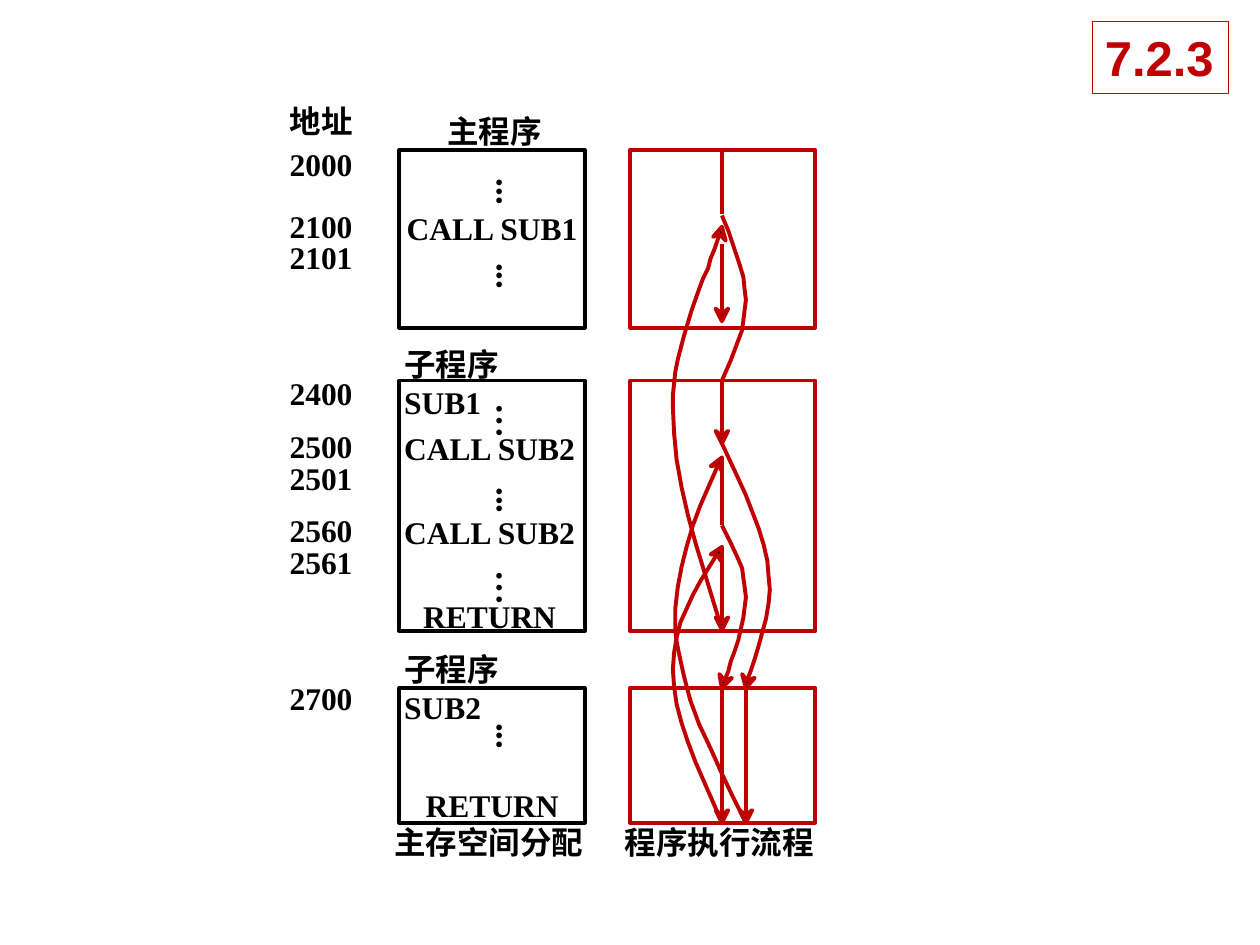
from lxml.etree import SubElement
from pptx import Presentation
from pptx.dml.color import RGBColor
from pptx.enum.shapes import MSO_CONNECTOR as Connector, MSO_SHAPE as Shape
from pptx.enum.text import MSO_ANCHOR as Anchor
from pptx.oxml.ns import qn
from pptx.util import Inches, Pt

BLACK, RED, WHITE = "000000", "C00000", "FFFFFF"
MEMORY_X, FLOW_X, BLOCK_W = 3.17, 5, 1.47
FLOW_MID, SECOND_CALL_X = 5.73, 5.92
BLOCKS = [(1.19, 1.41), (3.02, 1.99), (5.46, 1.07)]

ADDRESSES = [("地址", 0.76), ("2000", 1.1), ("2100", 1.59), ("2101", 1.84),
             ("2400", 2.92), ("2500", 3.34), ("2501", 3.59), ("2560", 4.01),
             ("2561", 4.26), ("2700", 5.34)]
LABELS = [("主程序", 3.45, 0.84, 0.96), ("CALL SUB1", 3.13, 1.61, 1.57),
          ("CALL SUB2", 3.11, 3.36, 1.57), ("CALL SUB2", 3.11, 4.02, 1.57),
          ("RETURN", 3.26, 4.69, 1.26), ("RETURN", 3.28, 6.19, 1.26),
          ("主存空间分配", 3.03, 6.48, 1.71), ("程序执行流程", 4.86, 6.48, 1.71)]
SUBROUTINES = [("子程序SUB1", 2.69), ("子程序SUB2", 5.11)]
ELLIPSES = [("...", 1.32, 0.31), ("...", 1.99, 0.31), ("…", 3.1, 0.38),
            ("...", 3.77, 0.31), ("…", 4.43, 0.38), ("...", 5.64, 0.31)]

# Straight runs: x, top, bottom of the line, tip of the arrowhead if any
RUNS = [(FLOW_MID, 1.19, 1.7, None), (FLOW_MID, 1.94, 2.49, 2.55),
        (FLOW_MID, 3.02, 3.47, 3.52), (FLOW_MID, 3.63, 4.17, None),
        (FLOW_MID, 4.34, 4.93, 5), (FLOW_MID, 5.46, 6.47, 6.53),
        (SECOND_CALL_X, 5.46, 6.47, 6.53)]

# Jumps between programs: curve points, then arrowhead points
JUMPS = [
    ([(5.73, 4.17), (5.8, 4.31), (5.86, 4.44), (5.89, 4.51), (5.9, 4.59),
      (5.91, 4.66), (5.92, 4.74), (5.91, 4.82), (5.9, 4.9), (5.88, 4.99),
      (5.86, 5.08), (5.83, 5.17), (5.8, 5.25), (5.78, 5.33), (5.75, 5.4)],
     [(5.71, 5.35), (5.73, 5.46), (5.81, 5.38), (5.75, 5.4)]),
    ([(5.73, 3.52), (5.86, 3.8), (5.92, 3.93), (5.97, 4.06), (6.02, 4.19),
      (6.06, 4.32), (6.09, 4.45), (6.1, 4.57), (6.11, 4.68), (6.1, 4.79),
      (6.08, 4.91), (6.05, 5.02), (6.02, 5.13), (5.99, 5.23), (5.96, 5.32),
      (5.93, 5.4)],
     [(5.89, 5.35), (5.92, 5.46), (5.99, 5.38), (5.93, 5.4)]),
    ([(5.92, 6.53), (5.82, 6.33), (5.73, 6.14), (5.64, 5.94), (5.55, 5.75),
      (5.48, 5.56), (5.43, 5.37), (5.39, 5.19), (5.37, 5.09), (5.36, 5),
      (5.36, 4.83), (5.38, 4.66), (5.41, 4.5), (5.45, 4.34), (5.5, 4.17),
      (5.56, 4.01), (5.63, 3.85), (5.7, 3.69)],
     [(5.73, 3.74), (5.73, 3.63), (5.64, 3.7), (5.7, 3.69)]),
    ([(5.73, 6.53), (5.59, 6.21), (5.52, 6.05), (5.46, 5.89), (5.41, 5.74),
      (5.37, 5.59), (5.35, 5.45), (5.34, 5.31), (5.35, 5.18), (5.37, 5.06),
      (5.4, 4.94), (5.45, 4.83), (5.5, 4.72), (5.56, 4.61), (5.69, 4.4)],
     [(5.72, 4.45), (5.73, 4.34), (5.64, 4.4), (5.69, 4.4)]),
    ([(5.73, 5), (5.59, 4.54), (5.52, 4.31), (5.46, 4.09), (5.41, 3.87),
      (5.37, 3.65), (5.35, 3.44), (5.34, 3.23), (5.34, 3.14), (5.35, 3.04),
      (5.36, 2.95), (5.38, 2.85), (5.43, 2.66), (5.49, 2.46), (5.55, 2.29),
      (5.58, 2.21), (5.62, 2.13), (5.64, 2.05), (5.67, 1.98), (5.69, 1.92),
      (5.71, 1.86)],
     [(5.76, 1.91), (5.73, 1.8), (5.66, 1.88), (5.71, 1.86)]),
    ([(5.73, 3.02), (5.8, 2.86), (5.86, 2.7), (5.89, 2.62), (5.9, 2.54),
      (5.91, 2.46), (5.92, 2.38), (5.91, 2.3), (5.9, 2.2), (5.87, 2.1),
      (5.84, 2.01), (5.81, 1.92), (5.78, 1.83), (5.75, 1.76), (5.73, 1.71)],
     None),
]


def rgb(color):
    return RGBColor.from_string(color)


def style(shape, line, fill=None, width=2.25):
    shape.shadow.inherit = False
    shape.line.color.rgb = rgb(line)
    shape.line.width = Pt(width)
    if fill:
        shape.fill.solid()
        shape.fill.fore_color.rgb = rgb(fill)
    else:
        shape.fill.background()


def format_text(frame, text, size, font="Times New Roman", color=BLACK):
    frame.text = text
    for run in frame.paragraphs[0].runs:
        run.font.size = Pt(size)
        run.font.name = font
        run.font.bold = True
        run.font.color.rgb = rgb(color)


def add_label(slide, text, x, y, w, h=0.4, size=18):
    label = slide.shapes.add_textbox(Inches(x), Inches(y), Inches(w), Inches(h))
    frame = label.text_frame
    frame.word_wrap = False
    format_text(frame, text, size)
    return frame


def add_subroutine_label(slide, text, y):
    """Label whose right inset makes the routine name fall to a second line."""
    frame = add_label(slide, text, 3.11, y, 1.57)
    frame.word_wrap = True
    frame.margin_right = Inches(0.4)


def add_ellipsis(slide, dots, y, h):
    frame = add_label(slide, dots, 3.74, y, 0.53, h, size=20)
    frame._txBody.bodyPr.set("vert", "eaVert")


def add_rect(slide, x, y, w, h, line, fill=None, width=2.25):
    rect = slide.shapes.add_shape(Shape.RECTANGLE, Inches(x), Inches(y),
                                  Inches(w), Inches(h))
    style(rect, line, fill, width)
    return rect


def add_outline(slide, points, closed=False):
    start, *rest = [(Inches(x), Inches(y)) for x, y in points]
    builder = slide.shapes.build_freeform(*start)
    builder.add_line_segments(rest, close=closed)
    style(builder.convert_to_shape(), RED, BLACK if closed else None)


def add_run(slide, x, top, bottom, tip):
    line = slide.shapes.add_connector(Connector.STRAIGHT, Inches(x), Inches(top),
                                      Inches(x), Inches(bottom))
    line.line.color.rgb = rgb(RED)
    line.line.width = Pt(2.25)
    SubElement(line._element.spPr, qn("a:effectLst"))
    if tip:
        add_outline(slide, [(x - 0.05, tip - 0.1), (x, tip), (x + 0.05, tip - 0.1),
                            (x, tip - 0.06)], closed=True)


def add_section_number(slide):
    badge = add_rect(slide, 8.67, 0.17, 1.08, 0.57, RED, WHITE, width=0.75)
    badge.text_frame.word_wrap = False
    badge.text_frame.vertical_anchor = Anchor.MIDDLE
    format_text(badge.text_frame, "7.2.3", 28, "Arial", RED)


def main():
    prs = Presentation()
    prs.slide_width, prs.slide_height = Inches(10), Inches(7.5)
    slide = prs.slides.add_slide(prs.slide_layouts[6])

    for curve, head in JUMPS:
        add_outline(slide, curve)
        if head:
            add_outline(slide, head, closed=True)
    for run in RUNS:
        add_run(slide, *run)
    for x, color in ((MEMORY_X, BLACK), (FLOW_X, RED)):
        for y, h in BLOCKS:
            add_rect(slide, x, y, BLOCK_W, h, color)
    for address, y in ADDRESSES:
        add_label(slide, address, 2.2, y, 0.7)
    for label in LABELS:
        add_label(slide, *label)
    for subroutine in SUBROUTINES:
        add_subroutine_label(slide, *subroutine)
    for ellipsis in ELLIPSES:
        add_ellipsis(slide, *ellipsis)
    add_section_number(slide)
    prs.save("out.pptx")


if __name__ == "__main__":
    main()
